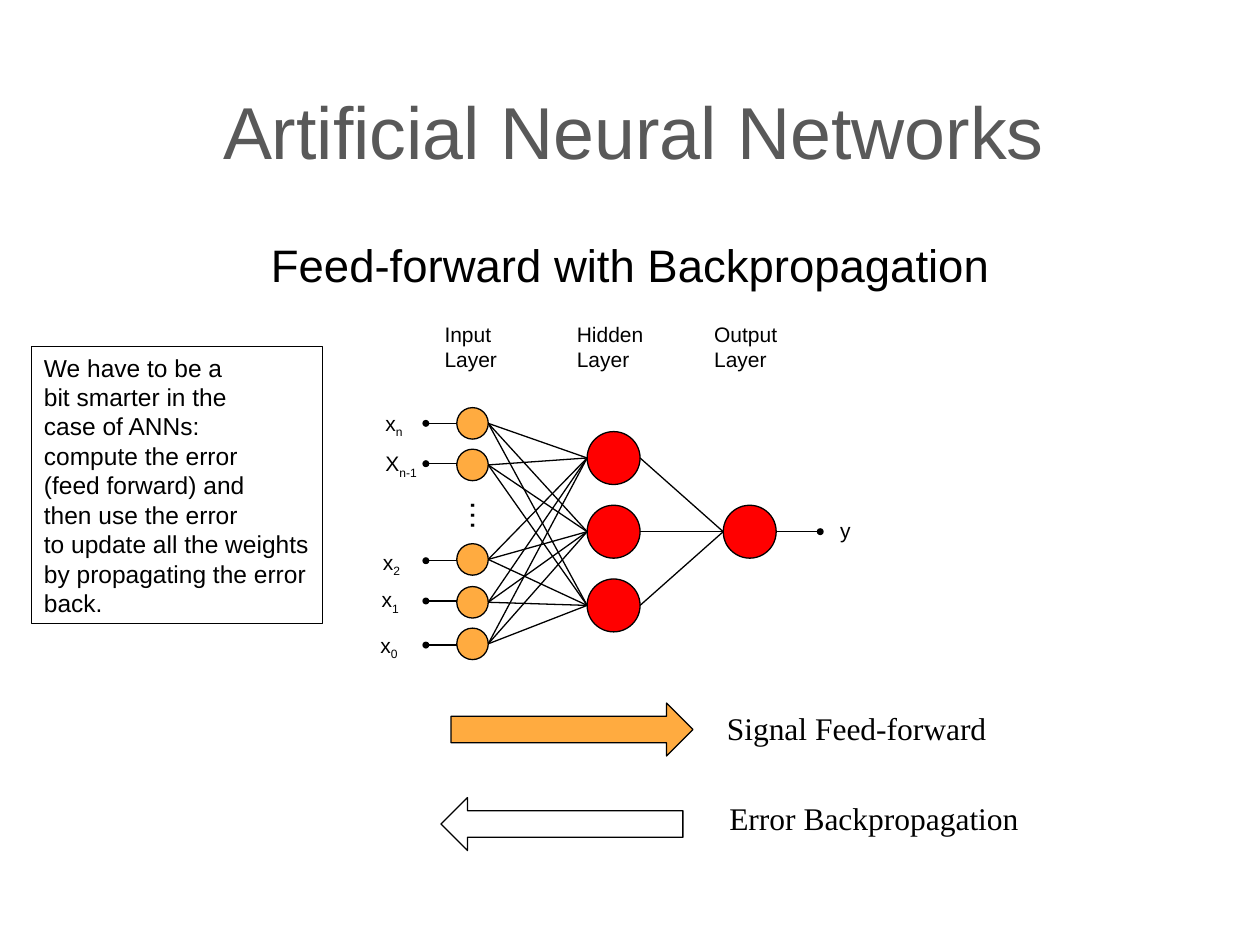
import itertools

import pptx
import pptx.dml.color
import pptx.enum.shapes
import pptx.enum.text
import pptx.oxml.ns
import pptx.util
from lxml import etree

Inches = pptx.util.Inches
Pt = pptx.util.Pt
RGBColor = pptx.dml.color.RGBColor
SHAPE = pptx.enum.shapes.MSO_SHAPE
ALIGN = pptx.enum.text.PP_ALIGN
ANCHOR = pptx.enum.text.MSO_ANCHOR

BLACK = RGBColor(0, 0, 0)
WHITE = RGBColor(255, 255, 255)
GREY = RGBColor(0x59, 0x59, 0x59)
ORANGE = RGBColor(0xFF, 0xAB, 0x40)
RED = RGBColor(255, 0, 0)

SANS, SERIF = "Arial", "Times New Roman"

# Network grid: column centres, row centres and node diameters, in inches
INPUT_X, HIDDEN_X, OUTPUT_X = 3.75, 4.87, 5.95
INPUT_SIZE, NEURON_SIZE = 0.25, 0.42
INPUT_ROWS = [3.36, 3.69, 4.44, 4.78, 5.11]
OUTPUT_ROW = 4.22
HIDDEN_ROWS = [OUTPUT_ROW + step * 0.585 for step in (-1, 0, 1)]

# Label letter, subscript, label left and top, pin height of each input
INPUTS = [
    ("x", "n", 2.96, 3.21, 3.36),
    ("X", "n-1", 2.96, 3.53, 3.68),
    ("x", "2", 2.94, 4.31, 4.45),
    ("x", "1", 2.93, 4.61, 4.77),
    ("x", "0", 2.92, 4.97, 5.12),
]
LAYERS = [("Input", 3.43), ("Hidden", 4.48), ("Output", 5.57)]

NOTE = "\v".join([
    "We have to be a", "bit smarter in the", "case of ANNs:",
    "compute the error", "(feed forward) and", "then use the error",
    "to update all the weights", "by propagating the error", "back.",
])


def style(paragraph, size, color=BLACK, name=SANS, align=ALIGN.LEFT):
    paragraph.font.size = Pt(size)
    paragraph.font.color.rgb = color
    paragraph.font.name = name
    paragraph.alignment = align


def add_label(slide, text, left, top, width, height, size=12, name=SANS,
              align=ALIGN.LEFT, subscript="", wrap=False):
    label = slide.shapes.add_textbox(
        Inches(left), Inches(top), Inches(width), Inches(height))
    label.text_frame.word_wrap = wrap
    paragraph = label.text_frame.paragraphs[0]
    paragraph.text = text
    style(paragraph, size, name=name, align=align)
    if subscript:
        run = paragraph.add_run()
        run.text = subscript
        run.font._element.set("baseline", "-25000")
    return label


def add_outlined(slide, kind, left, top, width, height, fill):
    shape = slide.shapes.add_shape(
        kind, Inches(left), Inches(top), Inches(width), Inches(height))
    shape.shadow.inherit = False
    shape.fill.solid()
    shape.fill.fore_color.rgb = fill
    shape.line.color.rgb = BLACK
    shape.line.width = Pt(0.75)
    return shape


def add_node(slide, x, y, size, fill):
    add_outlined(slide, SHAPE.OVAL, x - size / 2, y - size / 2, size, size, fill)


def add_link(slide, x1, y1, x2, y2, dot=False):
    link = slide.shapes.add_connector(
        pptx.enum.shapes.MSO_CONNECTOR.STRAIGHT,
        Inches(x1), Inches(y1), Inches(x2), Inches(y2))
    link.line.color.rgb = BLACK
    link.line.width = Pt(0.75)
    if dot:
        end = etree.SubElement(
            link.line._get_or_add_ln(), pptx.oxml.ns.qn("a:tailEnd"))
        end.set("type", "oval")
        end.set("w", "sm")
        end.set("len", "sm")
    etree.SubElement(link._element.spPr, pptx.oxml.ns.qn("a:effectLst"))


def add_headings(slide):
    title = slide.shapes.title
    title.left, title.top = Inches(1.67), Inches(0.2)
    title.width, title.height = Inches(7.67), Inches(1.67)
    title.text_frame.text = "Artificial Neural Networks"
    title.text_frame.vertical_anchor = ANCHOR.MIDDLE
    style(title.text_frame.paragraphs[0], 42, GREY)
    add_label(slide, "Feed-forward with Backpropagation", 1.92, 1.83, 6.17,
              0.75, size=26, align=ALIGN.CENTER, wrap=True)


def add_network(slide):
    # Nodes
    for y in INPUT_ROWS:
        add_node(slide, INPUT_X, y, INPUT_SIZE, ORANGE)
    for y in HIDDEN_ROWS:
        add_node(slide, HIDDEN_X, y, NEURON_SIZE, RED)
    add_node(slide, OUTPUT_X, OUTPUT_ROW, NEURON_SIZE, RED)
    ellipsis = add_label(slide, "…", 3.44, 3.89, 0.45, 0.4, size=18)
    ellipsis.rotation = 270

    # Weights between the layers
    input_edge = INPUT_X + INPUT_SIZE / 2
    radius = NEURON_SIZE / 2
    for start, end in itertools.product(INPUT_ROWS, HIDDEN_ROWS):
        add_link(slide, input_edge, start, HIDDEN_X - radius, end)
    for y in HIDDEN_ROWS:
        add_link(slide, HIDDEN_X + radius, y, OUTPUT_X - radius, OUTPUT_ROW)

    # Input and output pins with their names
    for letter, subscript, left, top, pin in INPUTS:
        add_link(slide, INPUT_X - INPUT_SIZE / 2, pin, 3.38, pin, dot=True)
        add_label(slide, letter, left, top, 0.47, 0.3, subscript=subscript)
    add_link(slide, OUTPUT_X + radius, OUTPUT_ROW, 6.51, OUTPUT_ROW, dot=True)
    add_label(slide, "y", 6.57, 4.06, 0.28, 0.3)

    # Layer names
    for layer, left in LAYERS:
        add_label(slide, layer + "\vLayer", left, 2.5, 0.73, 0.5)


def add_legend(slide):
    add_outlined(slide, SHAPE.RIGHT_ARROW, 3.58, 5.58, 1.92, 0.42, ORANGE)
    backward = add_outlined(
        slide, SHAPE.RIGHT_ARROW, 3.5, 6.33, 1.92, 0.42, WHITE)
    backward._element.spPr.xfrm.set("flipH", "1")
    add_label(slide, "Signal Feed-forward", 5.67, 5.58, 2.26, 0.4, 18, SERIF)
    add_label(slide, "Error Backpropagation", 5.69, 6.29, 2.5, 0.4, 18, SERIF)


def add_note(slide):
    note = add_label(slide, NOTE, 0.25, 2.75, 2.31, 2.2, size=14)
    note.line.color.rgb = BLACK
    note.line.width = Pt(0.75)


def main():
    deck = pptx.Presentation()
    deck.slide_width, deck.slide_height = Inches(10), Inches(7.5)
    slide = deck.slides.add_slide(deck.slide_layouts[5])
    add_headings(slide)
    add_legend(slide)
    add_network(slide)
    add_note(slide)
    deck.save("out.pptx")


main()
